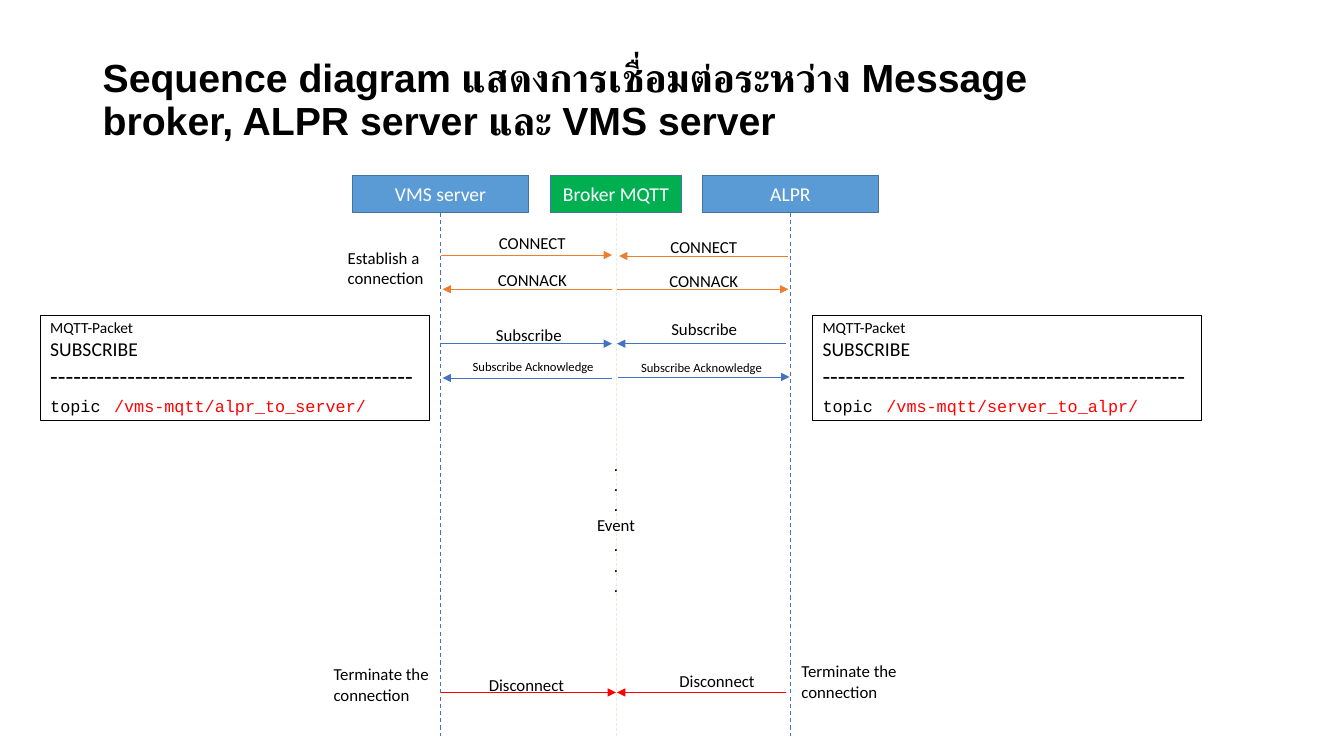
from pptx import Presentation
from pptx import util as u
from pptx.dml.color import RGBColor
from pptx.enum import dml, shapes, text
from pptx.oxml.ns import qn
from lxml import etree

BLACK = RGBColor(0, 0, 0)
WHITE = RGBColor(255, 255, 255)
RED = RGBColor(255, 0, 0)
BLUE = RGBColor(0x44, 0x72, 0xC4)
SKY = RGBColor(0x5B, 0x9B, 0xD5)
NAVY = RGBColor(0x43, 0x73, 0x9E)
GREEN = RGBColor(0, 0xB0, 0x50)
PALE = RGBColor(0xE2, 0xF0, 0xD9)
ORANGE = RGBColor(0xED, 0x7D, 0x31)

# Grid of square cells, 133.3 columns by 75 rows
CELL = 0.1
COLS, ROWS = 133.3, 75

# Lifelines: name, centre column, head width, head fill, line colour, line width
HEAD, TALL, FOOT = 17.4, 3.7, 73
LIVES = [
    ("VMS server", 43.7, 17.5, SKY, BLUE, 0.75),
    ("Broker MQTT", 61.1, 13, GREEN, PALE, 0.5),
    ("ALPR", 78.4, 17.5, SKY, BLUE, 0.75),
]

# Messages: label, size, colour, row, from column, to column, label box
CALLS = [
    ("CONNECT", 12, ORANGE, 25.3, 43.7, 60.7, (48.5, 22.6, 8.7, 3)),
    ("CONNECT", 12, ORANGE, 25.4, 78.2, 61.4, (65.5, 23, 8.7, 3)),
    ("CONNACK", 12, ORANGE, 28.7, 60.7, 43.9, (48.4, 26.3, 8.9, 3)),
    ("CONNACK", 12, ORANGE, 28.7, 61.2, 78.2, (65.4, 26.4, 8.9, 3)),
    ("Subscribe", 12, BLUE, 34.1, 43.7, 60.7, (48.2, 31.7, 8.6, 3)),
    ("Subscribe", 12, BLUE, 34.1, 78, 61.2, (65.6, 31.1, 8.6, 3)),
    ("Subscribe Acknowledge", 9, BLUE, 37.5, 60.7, 43.9, (45.9, 35.1, 14.2, 2.5)),
    ("Subscribe Acknowledge", 9, BLUE, 37.4, 61.3, 78.3, (62.6, 35.2, 14.2, 2.5)),
    ("Disconnect", 12, RED, 68.7, 43.7, 61.1, (47.5, 66.4, 9.6, 3)),
    ("Disconnect", 12, RED, 68.7, 78, 61.2, (66.4, 66.1, 9.6, 3)),
]

# Phase notes: lines, box
NOTES = [
    (["Establish a", "connection"], (33.5, 24.1, 9.6, 5)),
    (["Terminate the", "connection"], (32.1, 65.4, 11.6, 5)),
    (["Terminate the", "connection"], (78.5, 65.1, 11.6, 5)),
]

# Packets: left column, topic
PACKS = [(4, "/vms-mqtt/alpr_to_server/"), (80.6, "/vms-mqtt/server_to_alpr/")]


def cells(*nums):
    return [u.Inches(n * CELL) for n in nums]


def apply(item, form):
    for key, val in form.items():
        setattr(item, key, val)


def write(para, words, size, color=BLACK, name="Calibri", bold=False):
    run = para.add_run()
    run.text = words
    apply(run.font, {"size": u.Pt(size), "name": name, "bold": bold})
    run.font.color.rgb = color


def lines(frame, count, align=text.PP_ALIGN.LEFT):
    paras = [frame.paragraphs[0]]
    paras += [frame.add_paragraph() for _ in range(count - 1)]
    for para in paras:
        para.alignment = align
    return paras


def label(slide, rows, box, size=12, align=text.PP_ALIGN.LEFT):
    frame = slide.shapes.add_textbox(*cells(*box)).text_frame
    apply(frame, {"word_wrap": False,
                  "auto_size": text.MSO_AUTO_SIZE.SHAPE_TO_FIT_TEXT})
    for para, words in zip(lines(frame, len(rows), align), rows):
        write(para, words, size)


def block(slide, box, fill, edge):
    rect = slide.shapes.add_shape(shapes.MSO_SHAPE.RECTANGLE, *cells(*box))
    rect.shadow.inherit = False
    rect.fill.solid()
    rect.fill.fore_color.rgb = fill
    rect.line.color.rgb = edge
    rect.line.width = u.Pt(1)
    apply(rect.text_frame, {"word_wrap": True,
                            "vertical_anchor": text.MSO_ANCHOR.MIDDLE})
    return rect.text_frame


def stroke(slide, ends, color, width, dash=False, arrow=False):
    link = slide.shapes.add_connector(shapes.MSO_CONNECTOR.STRAIGHT, *cells(*ends))
    link.line.color.rgb = color
    link.line.width = u.Pt(width)
    if dash:
        link.line.dash_style = dml.MSO_LINE.DASH
    if arrow:
        tip = etree.SubElement(link.line._get_or_add_ln(), qn("a:tailEnd"))
        tip.set("type", "triangle")
    etree.SubElement(link._element.spPr, qn("a:effectLst"))


def title(slide, words):
    frame = slide.shapes.add_textbox(*cells(9.2, 4, 105.2, 12.1)).text_frame
    apply(frame, {"word_wrap": True, "vertical_anchor": text.MSO_ANCHOR.MIDDLE})
    para = frame.paragraphs[0]
    para.line_spacing = 0.9
    write(para, words, 28, name="Arial", bold=True)


def life(slide, name, mid, wide, fill, color, width):
    frame = block(slide, (mid - wide / 2, HEAD, wide, TALL), fill, NAVY)
    write(lines(frame, 1, text.PP_ALIGN.CENTER)[0], name, 14, WHITE)
    stroke(slide, (mid, HEAD + TALL, mid, FOOT), color, width, dash=True)


def call(slide, name, size, color, row, start, end, box):
    stroke(slide, (start, row, end, row), color, 0.5, arrow=True)
    label(slide, [name], box, size)


def packet(slide, left, topic):
    frame = block(slide, (left, 31.3, 38.6, 10.4), WHITE, BLACK)
    kind, verb, rule, last = lines(frame, 4)
    write(kind, "MQTT-Packet", 11)
    write(verb, "SUBSCRIBE", 14)
    write(rule, "-" * 47, 18)
    write(last, "topic", 12, name="Courier New")
    write(last, " ", 16, name="Courier New")
    write(last, topic, 12, RED, "Courier New")


def main():
    deck = Presentation()
    deck.slide_width, deck.slide_height = cells(COLS, ROWS)
    slide = deck.slides.add_slide(deck.slide_layouts[6])
    title(slide, "Sequence diagram แสดงการเชื่อมต่อระหว่าง Message broker, "
                 "ALPR server และ VMS server")
    for item in LIVES:
        life(slide, *item)
    for item in PACKS:
        packet(slide, *item)
    for item in CALLS:
        call(slide, *item)
    for item in NOTES:
        label(slide, *item)
    # Events between set-up and shutdown
    dots = ["."] * 3
    label(slide, dots + ["Event"] + dots, (58.2, 44.6, 5.8, 15.1),
          align=text.PP_ALIGN.CENTER)
    deck.save("out.pptx")


if __name__ == "__main__":
    main()
